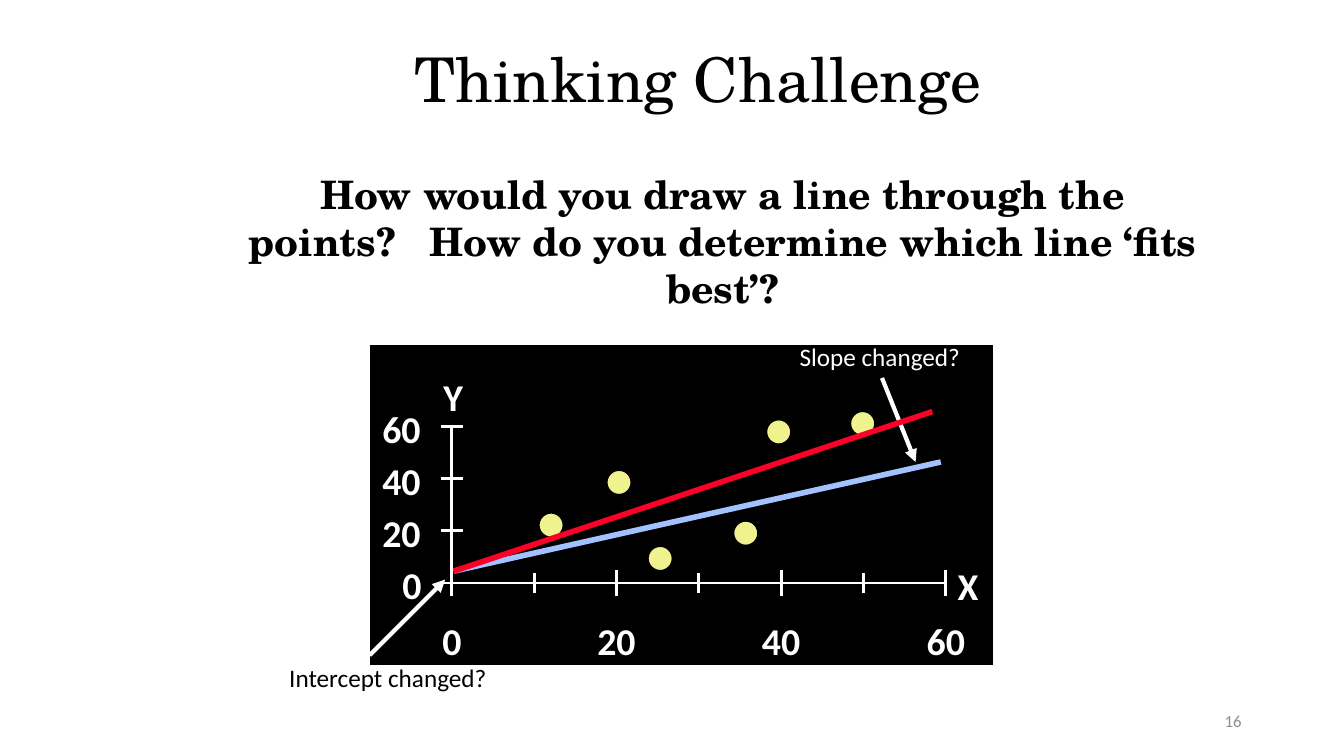
import pptx
import pptx.util
import pptx.dml.color
import pptx.enum.shapes
import pptx.enum.text
import pptx.oxml.ns
from lxml import etree

# Content
TITLE = "Thinking Challenge"
QUESTIONS = ("How would you draw a line through the points?",
             "How do you determine which line ‘fits best’?")
PAGE_NUMBER = "16"
POINTS = [(25.3, 9.4), (49.9, 61.2), (20.3, 38.6), (39.7, 58), (35.7, 19.1), (12.05, 22.2)]
AXIS_MAX, LABEL_STEP, MINOR_STEP = 60, 20, 10

# Lengths below are in cells of a 160 x 90 grid laid over the slide
COLUMNS, ROWS = 160, 90
SLIDE_WIDTH, SLIDE_HEIGHT = pptx.util.Inches(13.33), pptx.util.Inches(7.5)
TITLE_BOX = (30.6, 2.4, 105, 14.8)
QUESTION_BOX = (28, 19.7, 116, 12.5)
PAGE_BOX = (113, 83.4, 36, 4.8)
PANEL = (44, 41, 74.3, 38.2)
ORIGIN_X, ORIGIN_Y = 53.8, 69.4
UNIT_X, UNIT_Y = 0.98, 0.31
Y_TICK, MINOR_TICK, MAJOR_TICK = 1.3, 1.2, 1.55
DOT = 2.9
LABEL_HEIGHT = 6.6
Y_LABEL_RIGHT, X_LABEL_MIDDLE = 51.5, 76.25
AXIS_NAMES = [("X", 115.25, 69.65), ("Y", 53.95, 47.2)]
NOTES = [("Slope changed?", (94, 40, 24.4, 4.8), "white"),
         ("Intercept changed?", (33.25, 78.25, 28.3, 4.8), "black")]
# start, end, colour, width, arrowhead
FIT_LINES = [((54, 68), (112, 55), "blue", 4, False),
             ((105, 45), (109, 55), "white", 3, True),
             ((44, 78), (53, 69), "white", 3, True),
             ((54, 68), (111, 49), "red", 4, False)]

THEME = {
    "colour": {"black": "000000", "white": "FFFFFF", "grey": "8C8C8C",
               "dot": "F0F28D", "blue": "A2C1FE", "red": "FC0128"},
    "title": {"name": "TeX Gyre Schola", "size": pptx.util.Pt(44), "bold": False},
    "question": {"name": "TeX Gyre Schola", "size": pptx.util.Pt(28), "bold": True},
    "label": {"name": "Calibri", "size": pptx.util.Pt(27), "bold": True},
    "note": {"name": "Calibri", "size": pptx.util.Pt(18), "bold": False},
    "page": {"name": "Calibri", "size": pptx.util.Pt(12), "bold": False},
}
ALIGN = pptx.enum.text.PP_ALIGN
ANCHOR = pptx.enum.text.MSO_ANCHOR
SHAPE = pptx.enum.shapes.MSO_SHAPE


def colour(name):
    return pptx.dml.color.RGBColor.from_string(THEME["colour"][name])


def across(cells):
    return round(cells * SLIDE_WIDTH / COLUMNS)


def down(cells):
    return round(cells * SLIDE_HEIGHT / ROWS)


def place(box):
    left, top, width, height = box
    return across(left), down(top), across(width), down(height)


def plot(x, y):
    return ORIGIN_X + x * UNIT_X, ORIGIN_Y - y * UNIT_Y


def style_font(font, style, colour_name):
    for attribute, value in THEME[style].items():
        setattr(font, attribute, value)
    font.color.rgb = colour(colour_name)


def add_text(slide, text, box, style, colour_name, align=ALIGN.LEFT,
             anchor=ANCHOR.TOP, wrap=False):
    frame = slide.shapes.add_textbox(*place(box)).text_frame
    frame.word_wrap = wrap
    frame.vertical_anchor = anchor
    paragraph = frame.paragraphs[0]
    paragraph.alignment = align
    run = paragraph.add_run()
    run.text = text
    style_font(run.font, style, colour_name)
    return paragraph


def add_label(slide, text, center_x, center_y):
    width = label_width(text)
    box = (center_x - width / 2, center_y - LABEL_HEIGHT / 2, width, LABEL_HEIGHT)
    add_text(slide, text, box, "label", "white", ALIGN.CENTER)


def label_width(text):
    return 2.4 + 2.5 * len(text)


def add_box(slide, kind, box, fill, outline):
    shape = slide.shapes.add_shape(kind, *place(box))
    shape.shadow.inherit = False
    shape.fill.solid()
    shape.fill.fore_color.rgb = colour(fill)
    shape.line.color.rgb = colour(outline)
    shape.line.width = pptx.util.Pt(1)


def add_line(slide, start, end, colour_name="white", width=2, arrow=False):
    connector = slide.shapes.add_connector(
        pptx.enum.shapes.MSO_CONNECTOR.STRAIGHT,
        across(start[0]), down(start[1]), across(end[0]), down(end[1]))
    connector.line.color.rgb = colour(colour_name)
    connector.line.width = pptx.util.Pt(width)
    if arrow:
        line = connector.line._get_or_add_ln()
        etree.SubElement(line, pptx.oxml.ns.qn("a:tailEnd"), type="triangle")
    etree.SubElement(connector._element.spPr, pptx.oxml.ns.qn("a:effectLst"))


def add_headings(slide):
    title = slide.shapes.title
    title.left, title.top, title.width, title.height = place(TITLE_BOX)
    title.text_frame.text = TITLE
    title.text_frame.vertical_anchor = ANCHOR.MIDDLE
    paragraph = title.text_frame.paragraphs[0]
    paragraph.alignment = ALIGN.CENTER
    paragraph.line_spacing = 0.9
    style_font(paragraph.runs[0].font, "title", "black")

    # The two questions share a line, with a widened space between them
    paragraph = add_text(slide, QUESTIONS[0], QUESTION_BOX, "question", "black",
                         ALIGN.CENTER, wrap=True)
    for text, spacing in ((" ", "1600"), (QUESTIONS[1], "0")):
        run = paragraph.add_run()
        run.text = text
        style_font(run.font, "question", "black")
        run._r.get_or_add_rPr().set("spc", spacing)
    add_text(slide, PAGE_NUMBER, PAGE_BOX, "page", "grey", ALIGN.RIGHT,
             ANCHOR.MIDDLE, wrap=True)


def add_axes(slide):
    add_line(slide, plot(0, AXIS_MAX), plot(0, 0))
    add_line(slide, plot(0, 0), plot(AXIS_MAX, 0))
    for value in range(0, AXIS_MAX + 1, MINOR_STEP):
        x, _ = plot(value, 0)
        major = value % LABEL_STEP == 0
        half = MAJOR_TICK if major else MINOR_TICK
        add_line(slide, (x, ORIGIN_Y + half), (x, ORIGIN_Y - half))
        if major:
            _, y = plot(0, value)
            text = str(value)
            add_line(slide, (ORIGIN_X - Y_TICK, y), (ORIGIN_X + Y_TICK, y))
            add_label(slide, text, x, X_LABEL_MIDDLE)
            add_label(slide, text, Y_LABEL_RIGHT - label_width(text) / 2, y + 0.2)
    for name, x, y in AXIS_NAMES:
        add_label(slide, name, x, y)


def main():
    presentation = pptx.Presentation()
    presentation.slide_width, presentation.slide_height = SLIDE_WIDTH, SLIDE_HEIGHT
    slide = presentation.slides.add_slide(presentation.slide_layouts[5])
    add_headings(slide)

    # Scatter plot on its black panel
    add_box(slide, SHAPE.RECTANGLE, PANEL, "black", "white")
    add_axes(slide)
    for point in POINTS:
        x, y = plot(*point)
        add_box(slide, SHAPE.OVAL, (x - DOT / 2, y - DOT / 2, DOT, DOT), "dot", "black")

    # Candidate lines, arrows and their notes
    for fit_line in FIT_LINES:
        add_line(slide, *fit_line)
    for text, box, colour_name in NOTES:
        add_text(slide, text, box, "note", colour_name)
    presentation.save("out.pptx")


if __name__ == "__main__":
    main()
